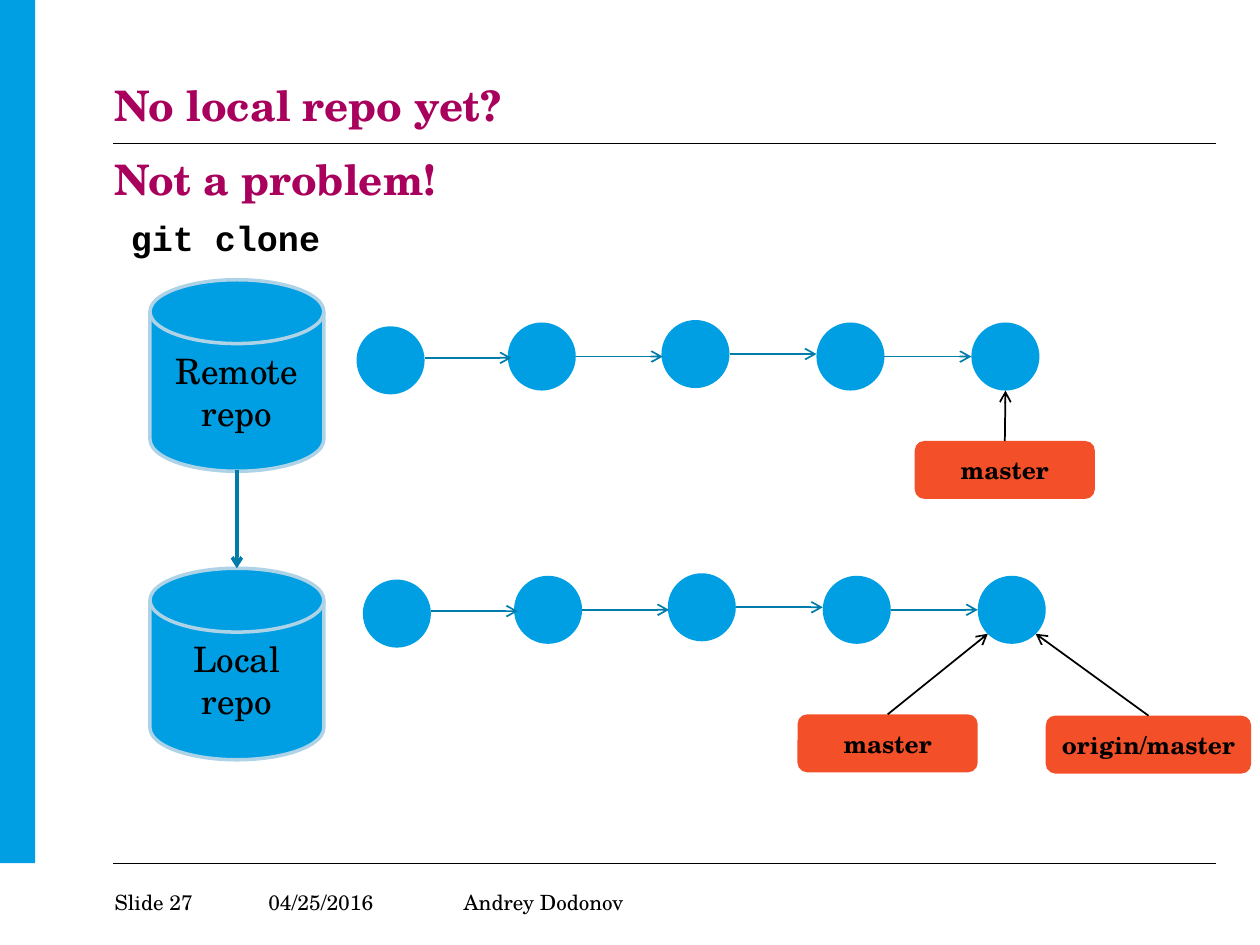
import pptx
import pptx.dml.color
import pptx.enum.shapes
import pptx.enum.text
import pptx.oxml
import pptx.oxml.ns
import pptx.util
from pptx.util import Inches

SERIF = "TeX Gyre Schola"
MONO = "Courier New"
BLUE, DARK_BLUE, PALE_BLUE = "009EE3", "007CAA", "AED3E7"
ORANGE, MAGENTA, BLACK = "F34F29", "A8005C", "000000"

SHAPE = pptx.enum.shapes.MSO_SHAPE
ANCHOR = pptx.enum.text.MSO_ANCHOR
ALIGN = pptx.enum.text.PP_ALIGN

COMMIT_SIZE = 0.54
COMMIT_OFFSETS = [(0, 0.05), (1.2, 0.02), (2.42, 0), (3.65, 0.02), (4.88, 0.02)]
ARROW_OFFSETS = [0.3, 0.29, 0.27, 0.29]
ARROW_LENGTH = 0.69


def color(value):
    return pptx.dml.color.RGBColor.from_string(value)


def place(shape, left, top, width, height):
    shape.left, shape.top = Inches(left), Inches(top)
    shape.width, shape.height = Inches(width), Inches(height)


def add_span(para, text, size, ink=BLACK, bold=False, font=SERIF):
    span = para.add_run()
    span.text = text
    span.font.name = font
    span.font.size = pptx.util.Pt(size)
    span.font.bold = bold
    span.font.color.rgb = color(ink)


def set_frame(box, anchor=ANCHOR.TOP, inset=0):
    frame = box.text_frame
    frame.word_wrap = False
    frame.auto_size = pptx.enum.text.MSO_AUTO_SIZE.NONE
    frame.vertical_anchor = anchor
    frame.margin_left = frame.margin_right = Inches(inset)
    frame.margin_top = frame.margin_bottom = Inches(inset / 2)
    return frame.paragraphs[0]


def add_block(shapes, kind, left, top, width, height, fill):
    block = shapes.add_shape(kind, Inches(left), Inches(top), Inches(width), Inches(height))
    block.shadow.inherit = False
    block.fill.solid()
    block.fill.fore_color.rgb = color(fill)
    block.line.fill.background()
    return block


def add_line(shapes, start, end, ink, weight, arrow=True):
    points = [Inches(value) for value in (*start, *end)]
    line = shapes.add_connector(pptx.enum.shapes.MSO_CONNECTOR.STRAIGHT, *points)
    line.line.color.rgb = color(ink)
    line.line.width = pptx.util.Pt(weight)
    properties = line._element.spPr
    if arrow:
        head = pptx.oxml.parse_xml(f'<a:tailEnd {pptx.oxml.ns.nsdecls("a")} type="arrow"/>')
        line.line._get_or_add_ln().append(head)
    properties.append(pptx.oxml.parse_xml(f'<a:effectLst {pptx.oxml.ns.nsdecls("a")}/>'))
    return line


def add_heading(box, left, top, text):
    place(box, left, top, 8.74, 0.39)
    para = set_frame(box)
    para.alignment = ALIGN.LEFT
    para.line_spacing = 0.9
    add_span(para, text, 24, MAGENTA, True)


def add_frame(page, left, right):
    add_block(page.shapes, SHAPE.RECTANGLE, 0, 0, 0.28, 6.85, BLUE)
    for top in (1.14, 6.85):
        add_line(page.shapes, (left, top), (right, top), BLACK, 0.5, arrow=False)


def add_footer(page, top):
    for left, width, text in [
        (0.91, 0.62, "Slide 27"),
        (2.13, 0.96, "04/25/2016"),
        (3.68, 1.26, "Andrey Dodonov"),
    ]:
        box = page.shapes.add_textbox(0, 0, 0, 0)
        place(box, left, top, width, 0.2)
        add_span(set_frame(box, ANCHOR.MIDDLE), text, 12)


def add_command(page, left, top):
    box = page.shapes.add_textbox(0, 0, 0, 0)
    place(box, left, top, 1.72, 0.44)
    add_span(set_frame(box, inset=0.1), "git clone", 20, bold=True, font=MONO)


def add_repo(page, left, top, words):
    disk = add_block(page.shapes, SHAPE.FLOWCHART_MAGNETIC_DISK, left, top, 1.38, 1.52, BLUE)
    disk.line.color.rgb = color(PALE_BLUE)
    disk.line.width = pptx.util.Pt(2)
    frame = disk.text_frame
    frame.vertical_anchor = ANCHOR.MIDDLE
    for index, word in enumerate(words):
        para = frame.add_paragraph() if index else frame.paragraphs[0]
        para.alignment = ALIGN.CENTER
        add_span(para, word, 20)


def add_branch(shapes, left, top, width, name, target):
    label = add_block(shapes, SHAPE.ROUNDED_RECTANGLE, left, top, width, 0.46, ORANGE)
    para = set_frame(label, ANCHOR.MIDDLE, 0.1)
    para.alignment = ALIGN.CENTER
    add_span(para, name, 14, bold=True)
    pointer = add_line(shapes, (left + width / 2, top), target, BLACK, 1)
    pointer.begin_connect(label, 0)


def add_history(page, left, top, branches):
    shapes = page.shapes.add_group_shape().shapes
    for x, y in COMMIT_OFFSETS:
        add_block(shapes, SHAPE.OVAL, left + x, top + y, COMMIT_SIZE, COMMIT_SIZE, BLUE)
    for (x, _), y in zip(COMMIT_OFFSETS, ARROW_OFFSETS):
        start = left + x + COMMIT_SIZE
        add_line(shapes, (start, top + y), (start + ARROW_LENGTH, top + y), DARK_BLUE, 1)
    for x, y, width, name, (target_x, target_y) in branches:
        add_branch(shapes, left + x, top + y, width, name, (left + target_x, top + target_y))


def main():
    deck = pptx.Presentation()
    deck.slide_width, deck.slide_height = Inches(10), Inches(7.5)
    page = deck.slides.add_slide(deck.slide_layouts[5])
    add_frame(page, 0.9, 9.65)
    add_heading(page.shapes.title, 0.91, 0.68, "No local repo yet?")
    add_heading(page.shapes.add_textbox(0, 0, 0, 0), 0.91, 1.26, "Not a problem!")
    add_footer(page, 7.06)
    add_command(page, 0.94, 1.67)
    add_repo(page, 1.19, 2.22, ["Remote", "repo"])
    add_repo(page, 1.19, 4.51, ["Local", "repo"])
    add_line(page.shapes, (1.88, 3.73), (1.88, 4.51), DARK_BLUE, 2)
    add_history(page, 2.83, 2.54, [(4.43, 0.96, 1.43, "master", (5.15, 0.56))])
    add_history(page, 2.88, 4.55, [
        (3.45, 1.12, 1.43, "master", (4.96, 0.48)),
        (5.42, 1.13, 1.63, "origin/master", (5.34, 0.48)),
    ])
    deck.save("out.pptx")


if __name__ == "__main__":
    main()
